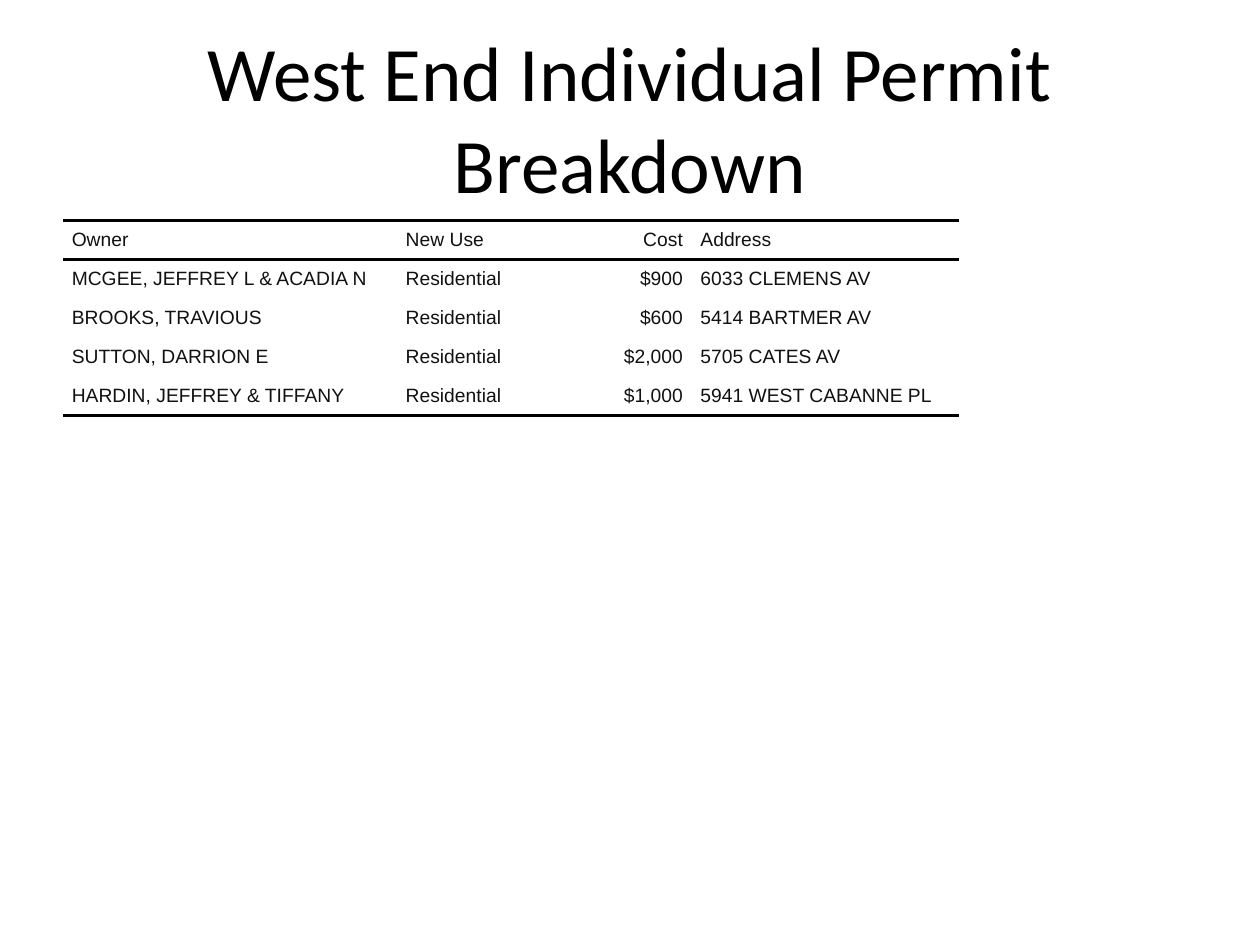
from dataclasses import dataclass

from lxml.etree import SubElement
from pptx import Presentation
from pptx.dml.color import RGBColor
from pptx.enum.text import MSO_ANCHOR, PP_ALIGN
from pptx.oxml.ns import qn
from pptx.slide import Slide
from pptx.table import _Cell
from pptx.util import Inches, Pt


@dataclass(frozen=True)
class Theme:
    title_font: str = "Calibri"
    body_font: str = "Arial"
    title_size: int = 44
    body_size: int = 11
    title_color: str = "000000"
    body_color: str = "111111"
    rule_color: str = "000000"
    rule_width: int = 2


@dataclass(frozen=True)
class Column:
    heading: str
    width: float
    align: PP_ALIGN = PP_ALIGN.LEFT


THEME = Theme()
WIDTH, HEIGHT = Inches(10), Inches(7.5)
MARGIN = 0.05  # share of the slide width
ROW_HEIGHT = 0.31
CELL_PADDING = Inches(0.07)

COLUMNS = [
    Column("Owner", 2.65),
    Column("New Use", 1.04),
    Column("Cost", 1.3, PP_ALIGN.RIGHT),
    Column("Address", 2.12),
]
PERMITS = [
    ("MCGEE, JEFFREY L & ACADIA N", "Residential", "$900", "6033 CLEMENS AV"),
    ("BROOKS, TRAVIOUS", "Residential", "$600", "5414 BARTMER AV"),
    ("SUTTON, DARRION E", "Residential", "$2,000", "5705 CATES AV"),
    ("HARDIN, JEFFREY & TIFFANY", "Residential", "$1,000", "5941 WEST CABANNE PL"),
]


def add_title(s: Slide, text: str) -> None:
    sp = s.shapes.add_textbox(int(WIDTH * MARGIN), int(HEIGHT * 0.04),
                              int(WIDTH * (1 - 2 * MARGIN)), Inches(1.25))
    tf = sp.text_frame
    tf.word_wrap = True
    tf.vertical_anchor = MSO_ANCHOR.MIDDLE
    p = tf.paragraphs[0]
    p.text = text
    p.alignment = PP_ALIGN.CENTER
    p.font.name = THEME.title_font
    p.font.size = Pt(THEME.title_size)
    p.font.color.rgb = RGBColor.from_string(THEME.title_color)


def set_borders(cell: _Cell, top: bool, bottom: bool) -> None:
    """Rule the chosen horizontal edges and clear the others."""
    tc_pr = cell._tc.get_or_add_tcPr()
    for side, ruled in (("L", False), ("R", False), ("T", top), ("B", bottom)):
        ln = SubElement(tc_pr, qn(f"a:ln{side}"))
        if ruled:
            ln.set("w", str(Pt(THEME.rule_width)))
            fill = SubElement(ln, qn("a:solidFill"))
            SubElement(fill, qn("a:srgbClr"), val=THEME.rule_color)
        else:
            SubElement(ln, qn("a:noFill"))


def fill_cell(cell: _Cell, text: str, align: PP_ALIGN) -> None:
    cell.margin_left = cell.margin_right = CELL_PADDING
    cell.margin_top = cell.margin_bottom = 0
    cell.vertical_anchor = MSO_ANCHOR.MIDDLE
    cell.fill.background()
    p = cell.text_frame.paragraphs[0]
    p.text = text
    p.alignment = align
    p.font.name = THEME.body_font
    p.font.size = Pt(THEME.body_size)
    p.font.color.rgb = RGBColor.from_string(THEME.body_color)


def add_permit_table(s: Slide) -> None:
    rows = [tuple(c.heading for c in COLUMNS), *PERMITS]
    ruled_edges = {0, 1, len(rows)}  # above and below the header, and at the end
    frame = s.shapes.add_table(
        len(rows), len(COLUMNS), int(WIDTH * MARGIN), Inches(1.75),
        Inches(sum(c.width for c in COLUMNS)), Inches(ROW_HEIGHT * len(rows)))
    table = frame.table
    table.first_row = table.horz_banding = False
    for j, column in enumerate(COLUMNS):
        table.columns[j].width = Inches(column.width)
    for i, values in enumerate(rows):
        table.rows[i].height = Inches(ROW_HEIGHT)
        for j, (column, value) in enumerate(zip(COLUMNS, values)):
            cell = table.cell(i, j)
            set_borders(cell, i in ruled_edges, i + 1 in ruled_edges)
            fill_cell(cell, value, column.align)


def main() -> None:
    prs = Presentation()
    prs.slide_width, prs.slide_height = WIDTH, HEIGHT
    s = prs.slides.add_slide(prs.slide_layouts[6])

    # Heading
    add_title(s, "West End Individual Permit Breakdown")

    # Permits
    add_permit_table(s)

    prs.save("out.pptx")


if __name__ == "__main__":
    main()
